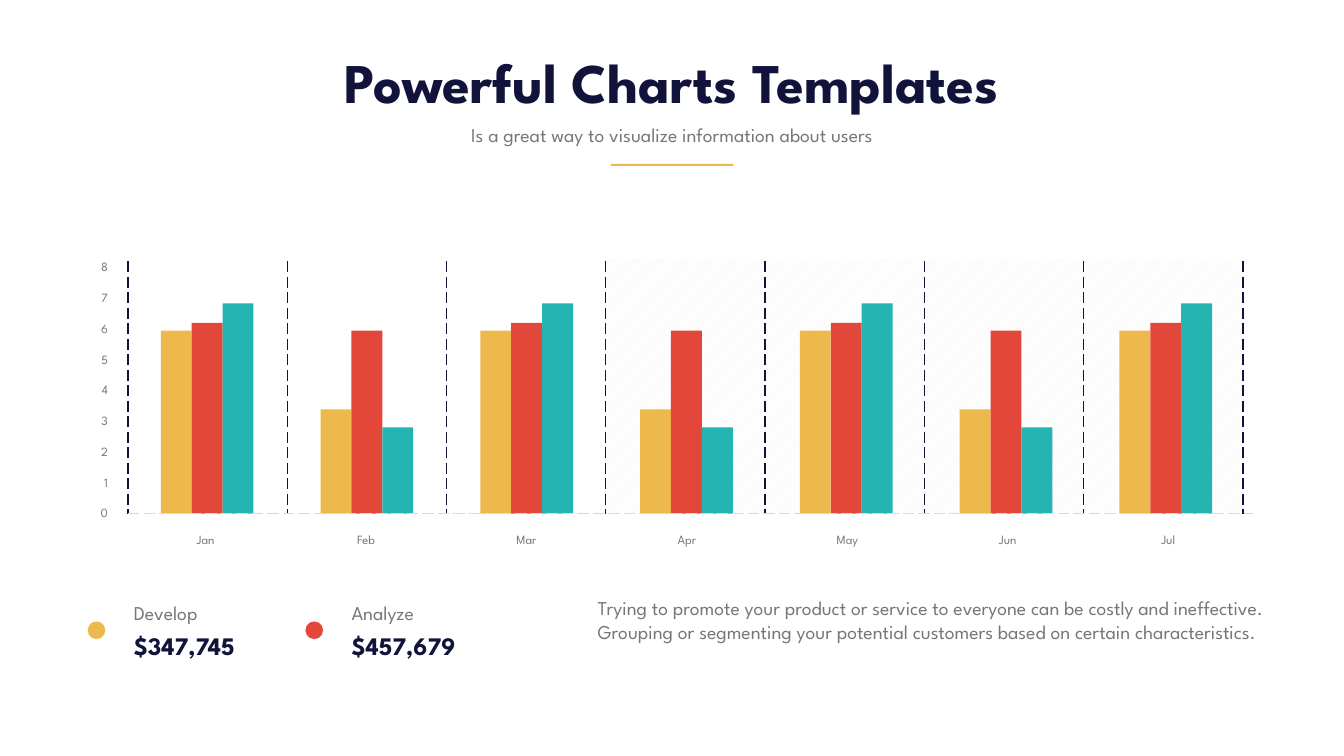
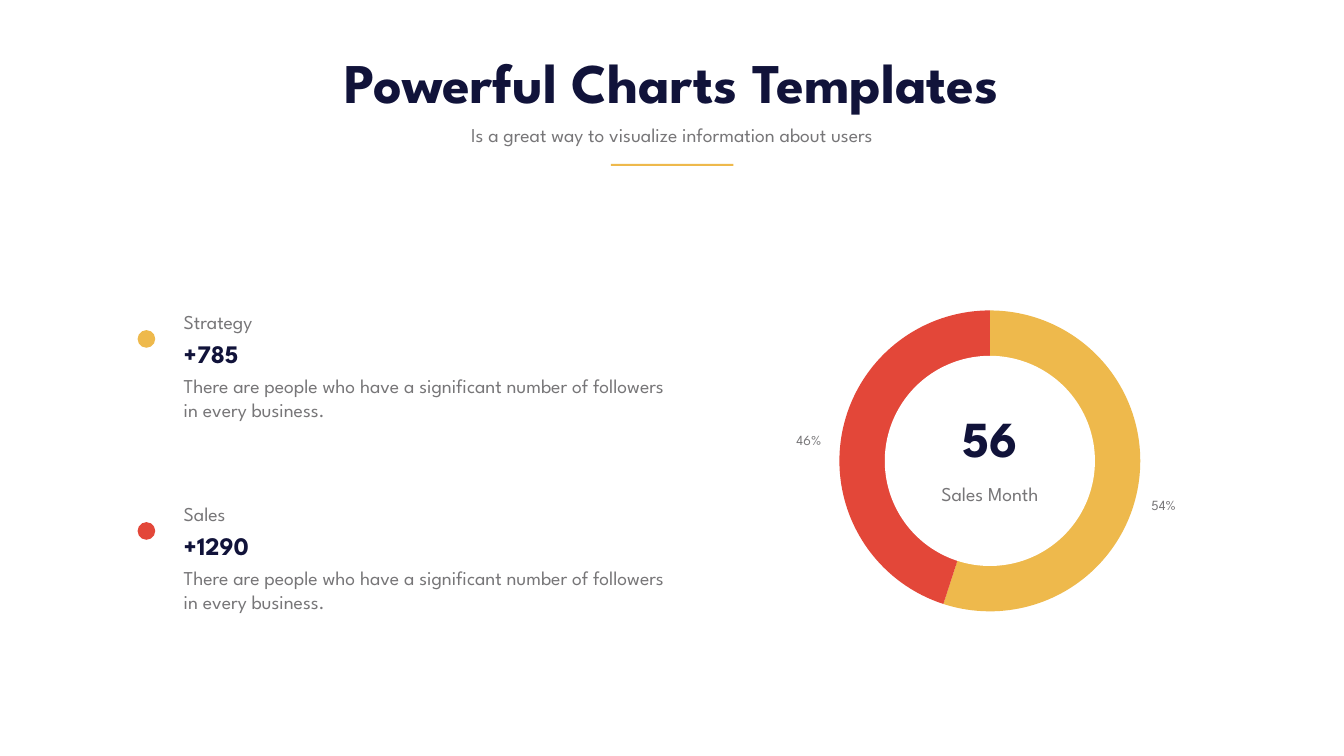
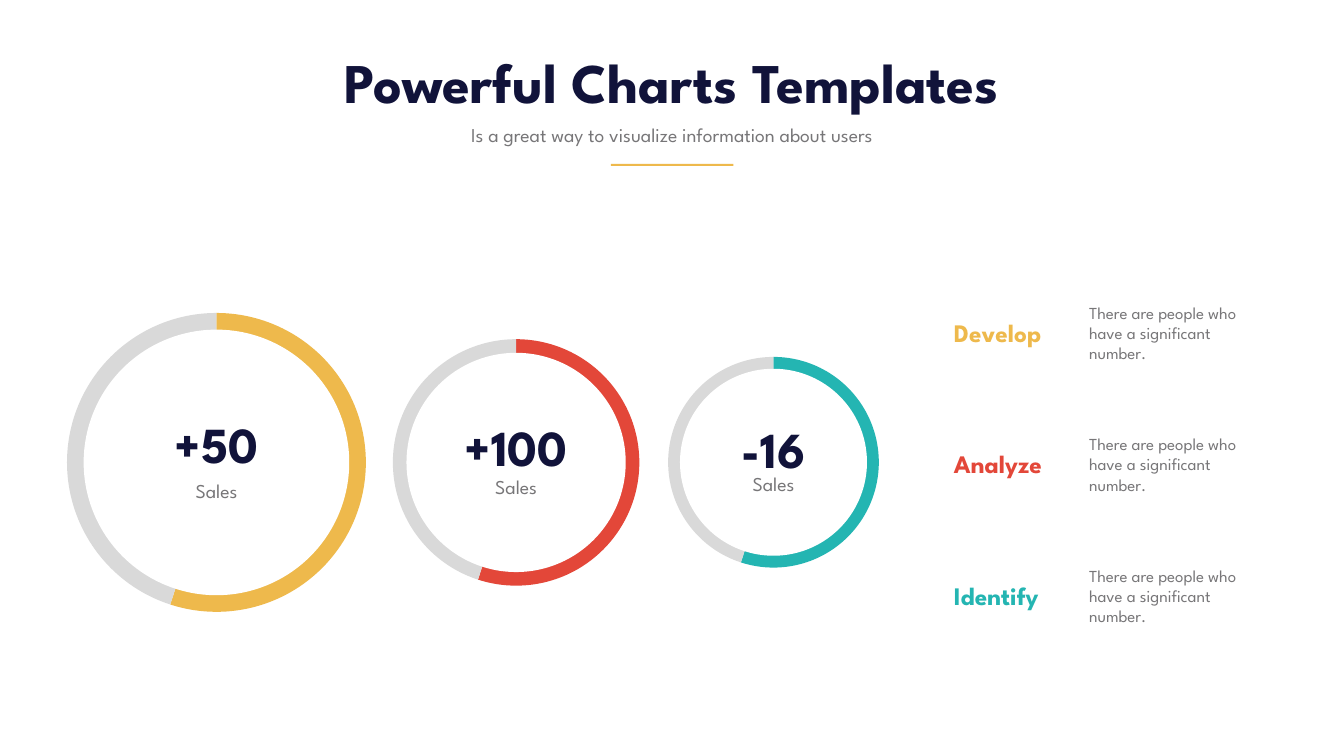
from dataclasses import dataclass
from typing import NamedTuple, Optional

from lxml import etree
from pptx import Presentation
from pptx.dml.color import RGBColor
from pptx.enum.dml import MSO_LINE, MSO_PATTERN
from pptx.enum.shapes import MSO_CONNECTOR, MSO_SHAPE
from pptx.enum.text import MSO_ANCHOR, MSO_AUTO_SIZE, PP_ALIGN
from pptx.oxml.ns import qn
from pptx.util import Emu, Inches, Pt

# The slide is a grid of square cells; every length below is in cells.
COLUMNS, ROWS = 160, 90
CELL = Inches(1 / 6)

NAVY = RGBColor(0x11, 0x13, 0x3A)
GREY = RGBColor(0x77, 0x76, 0x78)
SILVER = RGBColor(0xD9, 0xD9, 0xD9)
PALE = RGBColor(0xF2, 0xF2, 0xF2)
WHITE = RGBColor(0xFF, 0xFF, 0xFF)
YELLOW = RGBColor(0xEE, 0xB9, 0x4C)
RED = RGBColor(0xE3, 0x47, 0x39)
TEAL = RGBColor(0x24, 0xB5, 0xB2)

FONT = "League Spartan"
LEFT, CENTER, RIGHT = PP_ALIGN.LEFT, PP_ALIGN.CENTER, PP_ALIGN.RIGHT
TOP, MIDDLE = MSO_ANCHOR.TOP, MSO_ANCHOR.MIDDLE
FIT_SHAPE = MSO_AUTO_SIZE.SHAPE_TO_FIT_TEXT
RECTANGLE, OVAL, PIE = MSO_SHAPE.RECTANGLE, MSO_SHAPE.OVAL, MSO_SHAPE.PIE
STRAIGHT = MSO_CONNECTOR.STRAIGHT
LONG_DASH = MSO_LINE.LONG_DASH
DIAGONAL_STRIPES = MSO_PATTERN.WIDE_UPWARD_DIAGONAL


class Box(NamedTuple):
    left: float
    top: float
    width: float
    height: float


@dataclass(frozen=True)
class Style:
    size: float
    color: RGBColor = GREY
    bold: bool = False
    align: PP_ALIGN = LEFT
    line_height: Optional[float] = None
    anchor: MSO_ANCHOR = TOP
    inset: Optional[float] = None


TITLE = Style(80, NAVY, True, CENTER)
SUBTITLE = Style(28, align=CENTER)
BODY = Style(28)
FIGURE = Style(36, NAVY, True)
SMALL = Style(24)
VALUE_LABEL = Style(18, align=RIGHT, line_height=35.6)
MONTH_LABEL = Style(18, align=CENTER, line_height=35.6)
SHARE_LABEL = Style(20, align=CENTER, line_height=40.8)
RING_NUMBER = Style(72, NAVY, True, CENTER, anchor=MIDDLE, inset=0.36)
RING_CAPTION = Style(28, align=CENTER, anchor=MIDDLE, inset=0.36)


@dataclass(frozen=True)
class Metric:
    """A coloured dot with a label, a figure and an optional description."""
    left: float
    top: float
    color: RGBColor
    label: str
    figure: str
    description: str = ""


@dataclass(frozen=True)
class Ring:
    center_x: float
    center_y: float
    diameter: float
    hole: float
    color: RGBColor
    rest_color: RGBColor
    number: str
    number_top: float
    caption: str
    caption_top: float


class Topic(NamedTuple):
    name: str
    color: RGBColor


MONTHS = ("Jan", "Feb", "Mar", "Apr", "May", "Jun", "Jul")
SERIES_COLORS = (YELLOW, RED, TEAL)
ODD_MONTH, EVEN_MONTH = (5.95, 6.2, 6.84), (3.39, 5.95, 2.8)
AXIS_MAX = 8
AXIS_LEFT, AXIS_RIGHT = 15.24, 149.22
AXIS_TOP, BASELINE = 31.08, 61.14
UNIT_HEIGHT = 3.66
BAR_WIDTH = 3.68
FIRST_BAR, BAR_PITCH = 19.14, 19.02
DIVIDER_PITCH = 18.96
FIRST_MONTH, MONTH_PITCH = 20.7, 19.1

MONEY_METRICS = (
    Metric(10.44, 73.98, YELLOW, "Develop", "$347,745"),
    Metric(36.36, 73.98, RED, "Analyze", "$457,679"),
)
PROMOTION = (
    "Trying to promote your product or service to everyone can be costly and "
    "ineffective. Grouping or segmenting your potential customers based on "
    "certain characteristics."
)

FOLLOWERS = (
    "There are people who have a significant number of followers "
    "in every business."
)
GROWTH_METRICS = (
    Metric(16.38, 39.3, YELLOW, "Strategy", "+785", FOLLOWERS),
    Metric(16.38, 62.16, RED, "Sales", "+1290", FOLLOWERS),
)
MONTH_RING = Ring(117.84, 54.87, 35.82, 25.02, YELLOW, RED,
                  "56", 48.15, "Sales Month", 57)

SALES_RINGS = (
    Ring(92.08, 55.03, 25.08, 22.26, TEAL, SILVER, "-16", 49.44, "Sales", 55.8),
    Ring(61.44, 55.05, 29.34, 26.1, RED, SILVER, "+100", 49.14, "Sales", 56.22),
    Ring(25.77, 55.05, 35.58, 31.62, YELLOW, SILVER, "+50", 48.78, "Sales", 56.7),
)
RING_START, RING_SPLIT = 270, 108  # degrees clockwise from three o'clock
DEGREE = 0.6  # one degree as an adjustment value

TOPICS = (Topic("Develop", YELLOW), Topic("Analyze", RED), Topic("Identify", TEAL))
TOPIC_TEXT = "There are people who have a significant number."
TOPIC_PITCH = 15.66


def cells(count: float) -> Emu:
    return Emu(round(count * CELL))


def square(center_x: float, center_y: float, size: float) -> Box:
    return Box(center_x - size / 2, center_y - size / 2, size, size)


def add_text(slide, box: Box, text: str, style: Style) -> None:
    frame = slide.shapes.add_textbox(*map(cells, box)).text_frame
    frame.word_wrap = True
    frame.auto_size = FIT_SHAPE
    frame.vertical_anchor = style.anchor
    if style.inset is not None:
        inset = cells(style.inset)
        frame.margin_left = frame.margin_right = inset
        frame.margin_top = frame.margin_bottom = inset
    paragraph = frame.paragraphs[0]
    paragraph.alignment = style.align
    if style.line_height:
        paragraph.line_spacing = Pt(style.line_height)
    run = paragraph.add_run()
    run.text = text
    run.font.name = FONT
    run.font.size = Pt(style.size)
    run.font.bold = style.bold
    run.font.color.rgb = style.color


def add_filled(slide, kind: MSO_SHAPE, box: Box, color: RGBColor):
    shape = slide.shapes.add_shape(kind, *map(cells, box))
    shape.shadow.inherit = False
    shape.fill.solid()
    shape.fill.fore_color.rgb = color
    shape.line.fill.background()
    return shape


def add_dashed_line(slide, x1: float, y1: float, x2: float, y2: float,
                    color: RGBColor) -> None:
    connector = slide.shapes.add_connector(STRAIGHT, *map(cells, (x1, y1, x2, y2)))
    connector.line.color.rgb = color
    connector.line.width = Pt(2)
    connector.line.dash_style = LONG_DASH
    etree.SubElement(connector.element.spPr, qn("a:effectLst"))


def add_heading(slide) -> None:
    add_text(slide, Box(23.3, 5.4, 113.4, 8.7), "Powerful Charts Templates", TITLE)
    add_text(slide, Box(51.3, 14.28, 57.36, 3.42),
             "Is a great way to visualize information about users", SUBTITLE)
    add_filled(slide, RECTANGLE, Box(72.72, 19.5, 14.58, 0.24), YELLOW)


def add_metric(slide, metric: Metric) -> None:
    left, top = metric.left, metric.top
    text_left = left + 4.9
    add_filled(slide, OVAL, Box(left, top, 2.1, 2.1), metric.color)
    add_text(slide, Box(text_left, top - 2.76, 21.06, 3.42), metric.label, BODY)
    add_text(slide, Box(text_left, top + 0.7, 21.06, 4.26), metric.figure, FIGURE)
    if metric.description:
        add_text(slide, Box(text_left, top + 4.92, 58.74, 6.24),
                 metric.description, BODY)


def add_ring(slide, ring: Ring) -> None:
    x, y = ring.center_x, ring.center_y
    sectors = ((ring.color, RING_START, RING_SPLIT),
               (ring.rest_color, RING_SPLIT, RING_START))
    for color, start, end in sectors:
        sector = add_filled(slide, PIE, square(x, y, ring.diameter), color)
        sector.adjustments[0] = start * DEGREE
        sector.adjustments[1] = end * DEGREE
    add_filled(slide, OVAL, square(x, y, ring.hole), WHITE)
    caption_width, number_width = 0.62 * ring.diameter, 0.52 * ring.diameter
    add_text(slide, Box(x - caption_width / 2, ring.caption_top, caption_width, 3.48),
             ring.caption, RING_CAPTION)
    add_text(slide, Box(x - number_width / 2, ring.number_top, number_width, 7.92),
             ring.number, RING_NUMBER)


def add_striped_panel(slide) -> None:
    panel = add_filled(slide, RECTANGLE, Box(72, 30.72, 76.08, 30.36), WHITE)
    panel.fill.patterned()
    panel.fill.pattern = DIAGONAL_STRIPES
    panel.fill.fore_color.rgb = PALE
    panel.fill.back_color.rgb = WHITE


def add_monthly_bars(slide) -> None:
    add_striped_panel(slide)
    for index in range(len(MONTHS)):
        values = EVEN_MONTH if index % 2 else ODD_MONTH
        for series, (value, color) in enumerate(zip(values, SERIES_COLORS)):
            left = FIRST_BAR + index * BAR_PITCH + series * BAR_WIDTH
            height = value * UNIT_HEIGHT
            add_filled(slide, RECTANGLE,
                       Box(left, BASELINE - height, BAR_WIDTH, height), color)
    for index in range(len(MONTHS) + 1):
        x = AXIS_LEFT + index * DIVIDER_PITCH
        add_dashed_line(slide, x, AXIS_TOP, x, BASELINE, NAVY)
    add_dashed_line(slide, AXIS_LEFT, BASELINE, AXIS_RIGHT, BASELINE, SILVER)
    for value in range(AXIS_MAX + 1):
        add_text(slide, Box(9.72, 58.68 - value * UNIT_HEIGHT, 3.72, 3.18),
                 str(value), VALUE_LABEL)
    for index, month in enumerate(MONTHS):
        add_text(slide, Box(FIRST_MONTH + index * MONTH_PITCH, 61.86, 7.56, 3.24),
                 month, MONTH_LABEL)


def build_monthly_slide(slide) -> None:
    add_monthly_bars(slide)
    for metric in MONEY_METRICS:
        add_metric(slide, metric)
    add_text(slide, Box(70.56, 70.68, 80.64, 9.06), PROMOTION, BODY)


def build_share_slide(slide) -> None:
    for metric in GROWTH_METRICS:
        add_metric(slide, metric)
    add_ring(slide, MONTH_RING)
    add_text(slide, Box(91.92, 49.62, 8.76, 4.14), "46%", SHARE_LABEL)
    add_text(slide, Box(134.16, 57.36, 8.76, 4.14), "54%", SHARE_LABEL)


def build_sales_slide(slide) -> None:
    for ring in SALES_RINGS:
        add_ring(slide, ring)
    for index, topic in enumerate(TOPICS):
        offset = index * TOPIC_PITCH
        add_text(slide, Box(129.06, 35.7 + offset, 21.84, 7.86), TOPIC_TEXT, SMALL)
        add_text(slide, Box(112.98, 37.44 + offset, 16.08, 4.26),
                 topic.name, Style(36, topic.color, True))


def main() -> None:
    presentation = Presentation()
    presentation.slide_width = cells(COLUMNS)
    presentation.slide_height = cells(ROWS)
    blank = presentation.slide_layouts[6]
    for build in (build_monthly_slide, build_share_slide, build_sales_slide):
        slide = presentation.slides.add_slide(blank)
        build(slide)
        add_heading(slide)
    presentation.save("out.pptx")


if __name__ == "__main__":
    main()
